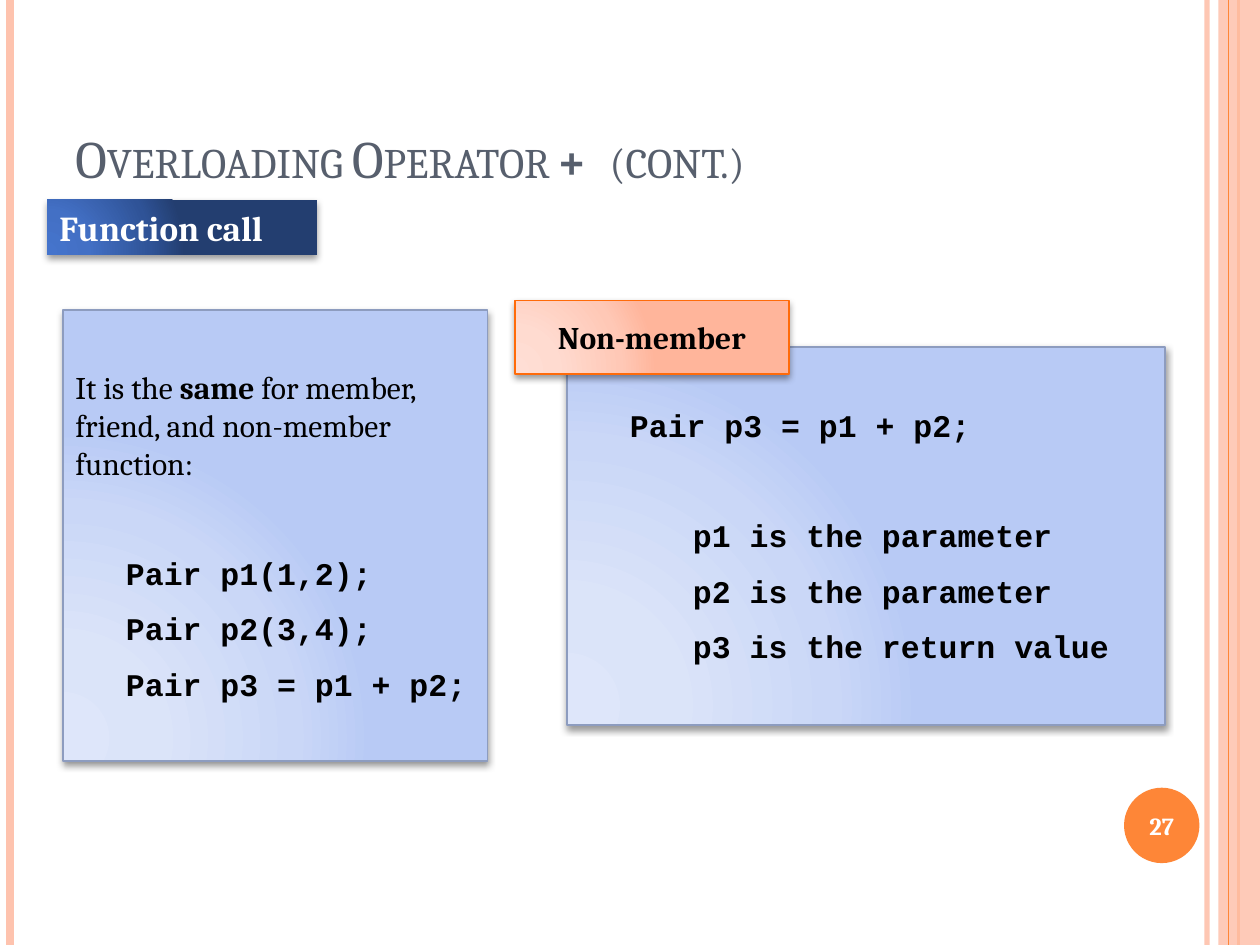
"""Build the slide on overloading operator + with its function call panels."""
from lxml import etree
from pptx import Presentation
from pptx.dml.color import RGBColor
from pptx.enum.shapes import MSO_CONNECTOR, MSO_SHAPE
from pptx.enum.text import MSO_ANCHOR, PP_ALIGN
from pptx.oxml.ns import qn
from pptx.util import Cm, Pt

RECT, OVAL = MSO_SHAPE.RECTANGLE, MSO_SHAPE.OVAL
LINE = MSO_CONNECTOR.STRAIGHT
TOP, MID, LOW = MSO_ANCHOR.TOP, MSO_ANCHOR.MIDDLE, MSO_ANCHOR.BOTTOM
LEFT, MIDDLE = PP_ALIGN.LEFT, PP_ALIGN.CENTER
SERIF, MONO = "Cambria", "Courier New"
WIDE, HIGH = 25.4, 19.05

HEX = {"white": "FFFFFF", "black": "000000", "slate": "575F6D",
       "peach": "FEC3AE", "orange": "FE8637", "steel": "8D9CBF",
       "flame": "FF6B0A"}
STOPS = (0, 30, 75, 100)
FADES = {"sky": ("DEE6FA", "DBE4F9", "CAD7F7", "B8CAF5"),
         "coral": ("FFDED5", "FFDBD0", "FFC8B6", "FFB59B"),
         "navy": ("4574CC", "4370C5", "2F5397", "233E70")}

# x, colour, width, opacity
RULES = [(24.33, "peach", 3, 93), (0.2, "peach", 4.5, 100),
         (24.97, "orange", 1.5, 100), (24.77, "orange", 0.75, 100)]
BAND = (24.56, 0, 0.84, HIGH)
DISC = (22.66, 15.88, 1.52, 1.52)

# Each paragraph: runs of (text, font, bold), left indent, space before
GAP, BREAK = 10.2, 41
TITLE = [([("Overloading Operator ", SERIF, False), ("+ ", MONO, True),
           ("(cont.)", SERIF, False)], 0, 0)]
NUMBER = [([("27", SERIF, True)], 0, 0)]


def code(rows, indent, first=GAP):
    """Return bold code paragraphs, the first one set off by its own gap."""
    return [([(row, MONO, True)], indent, GAP if i else first)
            for i, row in enumerate(rows)]


CALL = [([("It is the ", SERIF, False), ("same", SERIF, True),
          (" for member, friend, and non-member function:", SERIF, False)],
         0, GAP)]
CALL += code(["Pair p1(1,2);", "Pair p2(3,4);", "Pair p3 = p1 + p2;"],
             1.02, BREAK)
ROLES = code(["Pair p3 = p1 + p2;"], 1.02)
ROLES += code(["p1 is the parameter", "p2 is the parameter",
               "p3 is the return value"], 2.29, BREAK)

# place, fade, outline, paragraphs, text format
CARDS = [
    ((1.27, 6.25, 8.56, 9.09), "sky", "steel", CALL, {}),
    ((11.43, 6.99, 12.06, 7.62), "sky", "steel", ROLES, {}),
    ((10.38, 6.06, 5.52, 1.48), "coral", "flame",
     [([("Non-member", SERIF, True)], 0, 0)], {"align": MIDDLE}),
    ((0.95, 4.03, 5.44, 1.11), "navy", None,
     [([("Function call", SERIF, True)], 0, 0)],
     {"size": 20, "color": "white", "anchor": TOP, "wrap": False}),
]


def rgb(name):
    return RGBColor.from_string(HEX[name])


def sub(node, tag, **attrs):
    return etree.SubElement(node, qn("a:" + tag),
                            {k: str(v) for k, v in attrs.items()})


def clear(shape, alpha):
    for tint in shape._element.spPr.iter(qn("a:srgbClr")):
        sub(tint, "alpha", val=alpha * 1000)


def write(shape, paras, size=18, color="black", align=LEFT, anchor=MID,
          wrap=True, small=False):
    frame = shape.text_frame
    frame.word_wrap, frame.vertical_anchor = wrap, anchor
    for i, (runs, indent, before) in enumerate(paras):
        para = frame.add_paragraph() if i else frame.paragraphs[0]
        para.alignment, para.space_before = align, Pt(before)
        para._p.get_or_add_pPr().set("marL", str(Cm(indent)))
        for text, face, bold in runs:
            run = para.add_run()
            run.text, font = text, run.font
            font.name, font.size, font.bold = face, Pt(size), bold
            font.color.rgb = rgb(color)
            if small:
                run._r.get_or_add_rPr().set("cap", "small")


def block(kind, place, color):
    shape = slide.shapes.add_shape(kind, *map(Cm, place))
    shape.shadow.inherit = False
    shape.fill.solid()
    shape.fill.fore_color.rgb = rgb(color)
    shape.line.fill.background()
    return shape


def fade(shape, name):
    old = shape._element.spPr.find(qn("a:solidFill"))
    grad = etree.Element(qn("a:gradFill"), rotWithShape="1")
    stops = sub(grad, "gsLst")
    for stop, tint in zip(STOPS, FADES[name]):
        sub(sub(stops, "gs", pos=stop * 1000), "srgbClr", val=tint)
    ring = sub(grad, "path", path="circle")
    sub(ring, "fillToRect", l=5000, t=100000, r=120000, b=10000)
    old.getparent().replace(old, grad)


def shade(shape):
    glow = shape._element.spPr.find(qn("a:effectLst"))
    cast = sub(glow, "outerShdw", blurRad=Pt(4), dist=Pt(2), dir=5400000,
               algn="ctr", rotWithShape=0)
    sub(sub(cast, "srgbClr", val=HEX["black"]), "alpha", val=40000)


def rule(x, color, width, alpha):
    line = slide.shapes.add_connector(LINE, Cm(x), 0, Cm(x), Cm(HIGH))
    line.line.color.rgb, line.line.width = rgb(color), Pt(width)
    sub(line._element.spPr, "effectLst")
    if alpha < 100:
        clear(line, alpha)


deck = Presentation()
deck.slide_width, deck.slide_height = Cm(WIDE), Cm(HIGH)
slide = deck.slides.add_slide(deck.slide_layouts[6])

for item in RULES[:3]:
    rule(*item)
clear(block(RECT, BAND, "peach"), 87)
rule(*RULES[3])
disc = block(OVAL, DISC, "orange")
write(disc, NUMBER, size=14, color="white", align=MIDDLE, wrap=False)

title = slide.shapes.add_textbox(*map(Cm, (1.27, 0.76, 23.29, 3.18)))
write(title, TITLE, size=30, color="slate", anchor=LOW, small=True)

for place, tone, edge, paras, style in CARDS:
    card = block(RECT, place, "white")
    fade(card, tone)
    if edge:
        card.line.color.rgb, card.line.width = rgb(edge), Pt(1)
    shade(card)
    write(card, paras, **style)

deck.save("out.pptx")
